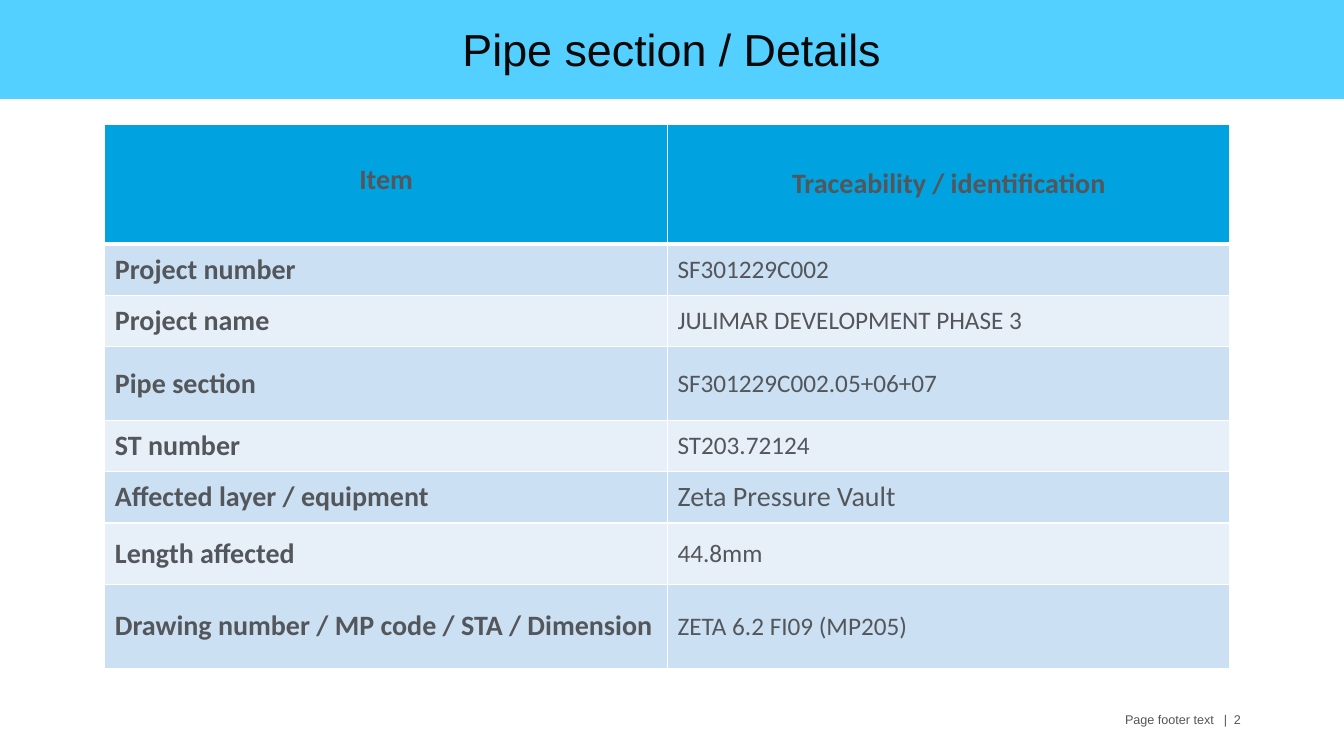
from dataclasses import dataclass

import pptx
import pptx.dml.color
import pptx.enum.shapes
import pptx.enum.text
import pptx.oxml
import pptx.oxml.ns
import pptx.util
from pptx.dml.color import RGBColor

EMU_PER_PX = 9144  # 100 px to the inch

TITLE_BLUE = RGBColor(0x53, 0xD0, 0xFF)
HEADER_BLUE = RGBColor(0x00, 0xA3, 0xE0)
BAND_DARK = RGBColor(0xCC, 0xE0, 0xF3)
BAND_LIGHT = RGBColor(0xE7, 0xF0, 0xF9)
WHITE = RGBColor(0xFF, 0xFF, 0xFF)
BLACK = RGBColor(0x08, 0x08, 0x08)
GREY = RGBColor(0x53, 0x56, 0x5A)

LEFT = pptx.enum.text.PP_ALIGN.LEFT
CENTER = pptx.enum.text.PP_ALIGN.CENTER
TOP = pptx.enum.text.MSO_ANCHOR.TOP
MIDDLE = pptx.enum.text.MSO_ANCHOR.MIDDLE


@dataclass(frozen=True)
class Detail:
    item: str
    value: str
    height: int = 51
    value_size: int = 18


HEADER_HEIGHT = 119
COLUMN_WIDTH = 558
DETAILS = [
    Detail("Project number", "SF301229C002"),
    Detail("Project name", "JULIMAR DEVELOPMENT PHASE 3"),
    Detail("Pipe section", "SF301229C002.05+06+07", height=73),
    Detail("ST number", "ST203.72124"),
    Detail("Affected layer / equipment", "Zeta Pressure Vault", value_size=20),
    Detail("Length affected", "44.8mm", height=61),
    Detail("Drawing number / MP code / STA / Dimension", "ZETA 6.2 FI09 (MP205)", height=83),
]


def px(length: int) -> int:
    return pptx.util.Emu(length * EMU_PER_PX)


def write_text(text_frame, text: str, *, size: int, font: str = "Calibri",
               color: RGBColor = GREY, bold: bool = False, align=LEFT) -> None:
    paragraph = text_frame.paragraphs[0]
    paragraph.alignment = align
    run = paragraph.add_run()
    run.text = text
    run.font.size = pptx.util.Pt(size)
    run.font.name = font
    run.font.bold = bold
    run.font.color.rgb = color


def set_borders(cell, bottom_points: int) -> None:
    """Give the cell white borders, 1 pt wide except for the bottom one."""
    properties = cell._tc.get_or_add_tcPr()
    namespace = pptx.oxml.ns.nsdecls("a")
    for index, side in enumerate("LRTB"):
        width = pptx.util.Pt(bottom_points if side == "B" else 1)
        properties.insert(index, pptx.oxml.parse_xml(
            f'<a:ln{side} {namespace} w="{width}"><a:solidFill>'
            f'<a:srgbClr val="{WHITE}"/></a:solidFill></a:ln{side}>'))


def fill_cell(cell, text: str, fill: RGBColor, *, anchor=MIDDLE,
              bottom_points: int = 1, **text_format) -> None:
    cell.fill.solid()
    cell.fill.fore_color.rgb = fill
    cell.vertical_anchor = anchor
    set_borders(cell, bottom_points)
    write_text(cell.text_frame, text, **text_format)


def add_title(slide) -> None:
    title = slide.shapes.add_shape(pptx.enum.shapes.MSO_SHAPE.RECTANGLE,
                                   px(0), px(-1), px(1333), px(99))
    title.shadow.inherit = False
    title.fill.solid()
    title.fill.fore_color.rgb = TITLE_BLUE
    title.line.fill.background()
    title.text_frame.vertical_anchor = MIDDLE
    write_text(title.text_frame, "Pipe section / Details", size=32,
               font="Arial", color=BLACK, align=CENTER)


def add_details_table(slide) -> None:
    heights = [HEADER_HEIGHT] + [detail.height for detail in DETAILS]
    table = slide.shapes.add_table(len(heights), 2, px(104), px(123),
                                   px(2 * COLUMN_WIDTH), px(sum(heights))).table
    table.first_row = False
    table.horz_banding = False
    for column in table.columns:
        column.width = px(COLUMN_WIDTH)
    for row, height in zip(table.rows, heights):
        row.height = px(height)

    header = dict(fill=HEADER_BLUE, bottom_points=3, size=20, bold=True, align=CENTER)
    fill_cell(table.cell(0, 0), "Item", anchor=TOP, **header)
    table.cell(0, 0).margin_top = px(39)
    fill_cell(table.cell(0, 1), "Traceability / identification", **header)

    for index, detail in enumerate(DETAILS, start=1):
        band = BAND_DARK if index % 2 else BAND_LIGHT
        fill_cell(table.cell(index, 0), detail.item, band, size=20, bold=True)
        fill_cell(table.cell(index, 1), detail.value, band, size=detail.value_size)


def add_footer(slide) -> None:
    footer = slide.shapes.add_textbox(px(1106), px(701), px(136), px(40))
    footer.text_frame.word_wrap = True
    properties = footer.text_frame.paragraphs[0]._p.get_or_add_pPr()
    stops = "".join(f'<a:tab pos="{px(stop)}" algn="l"/>' for stop in (98, 108))
    properties.append(pptx.oxml.parse_xml(
        f'<a:tabLst {pptx.oxml.ns.nsdecls("a")}>{stops}</a:tabLst>'))
    write_text(footer.text_frame, "Page footer text\t|\t2", size=9, font="Arial")


def main() -> None:
    presentation = pptx.Presentation()
    presentation.slide_width = px(1333)
    presentation.slide_height = px(750)
    slide = presentation.slides.add_slide(presentation.slide_layouts[6])
    add_footer(slide)
    add_details_table(slide)
    add_title(slide)
    presentation.save("out.pptx")


if __name__ == "__main__":
    main()
